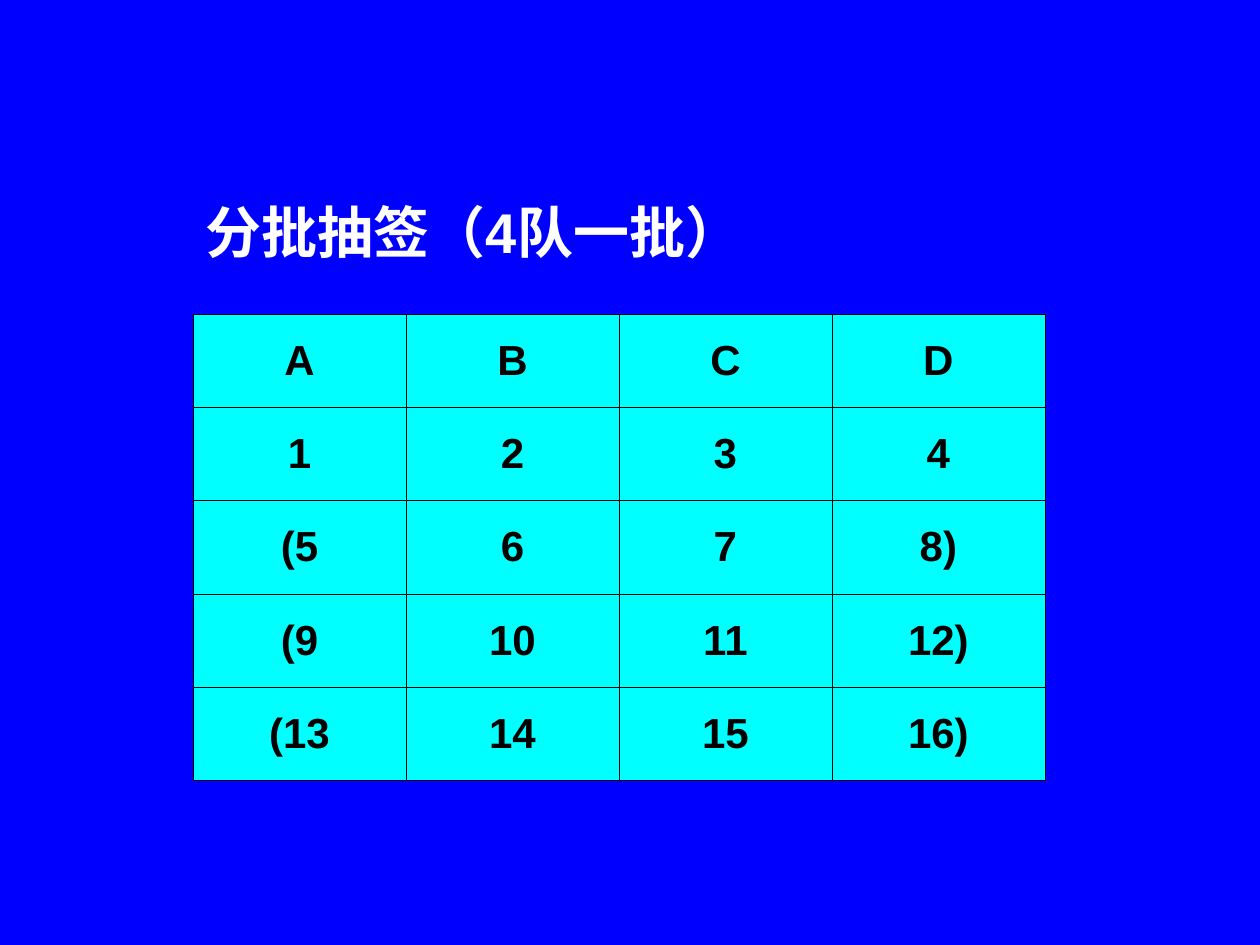
"""Build a slide with the draw table for batches of four teams."""
from lxml import etree
from pptx import Presentation
from pptx.dml.color import RGBColor
from pptx.enum.text import MSO_ANCHOR, PP_ALIGN
from pptx.oxml.ns import qn
from pptx.util import Pt

PX = 914400 // 126
MIDDLE = MSO_ANCHOR.MIDDLE
LEFT, CENTER = PP_ALIGN.LEFT, PP_ALIGN.CENTER
LEFT_EDGE, TOP_EDGE = 193, 145
COLUMN_WIDTH, TITLE_HEIGHT, BODY_HEIGHT = 213, 169, 467
TITLE = "分批抽签（4队一批）"
DRAW = [
    ["A", "B", "C", "D"],
    ["1", "2", "3", "4"],
    ["(5", "6", "7", "8)"],
    ["(9", "10", "11", "12)"],
    ["(13", "14", "15", "16)"],
]


def color(value):
    return RGBColor.from_string(value)


def set_borders(cell, visible):
    properties = cell._tc.get_or_add_tcPr()
    for side in ("lnL", "lnR", "lnT", "lnB"):
        line = etree.SubElement(properties, qn(f"a:{side}"), w=str(Pt(0.45)))
        if side in visible:
            fill = etree.SubElement(line, qn("a:solidFill"))
            etree.SubElement(fill, qn("a:srgbClr"), val="000000")
        else:
            etree.SubElement(line, qn("a:noFill"))


presentation = Presentation()
presentation.slide_width = 1260 * PX
presentation.slide_height = 945 * PX
slide = presentation.slides.add_slide(presentation.slide_layouts[6])
slide.background.fill.solid()
slide.background.fill.fore_color.rgb = color("0000FF")

rows = [[TITLE, "", "", ""]] + DRAW
frame = slide.shapes.add_table(
    len(rows), 4, LEFT_EDGE * PX, TOP_EDGE * PX,
    4 * COLUMN_WIDTH * PX, (TITLE_HEIGHT + BODY_HEIGHT) * PX,
)
table = frame.table
table.first_row = False
table.horz_banding = False
for column in table.columns:
    column.width = COLUMN_WIDTH * PX
for row in table.rows:
    row.height = BODY_HEIGHT * PX // len(DRAW)
table.rows[0].height = TITLE_HEIGHT * PX
table.cell(0, 0).merge(table.cell(0, 2))

for row_index, texts in enumerate(rows):
    is_title = row_index == 0
    for column_index, text in enumerate(texts):
        cell = table.cell(row_index, column_index)
        cell.vertical_anchor = MIDDLE
        set_borders(cell, ("lnB",) if is_title else ("lnL", "lnR", "lnT", "lnB"))
        if is_title:
            cell.fill.background()
        else:
            cell.fill.solid()
            cell.fill.fore_color.rgb = color("00FFFF")
        if text:
            paragraph = cell.text_frame.paragraphs[0]
            paragraph.text = text
            paragraph.alignment = LEFT if is_title else CENTER
            font = paragraph.runs[0].font
            font.name = "Arial"
            font.size = Pt(32 if is_title else 24)
            font.bold = True
            font.color.rgb = color("FFFFFF" if is_title else "000000")

presentation.save("out.pptx")
